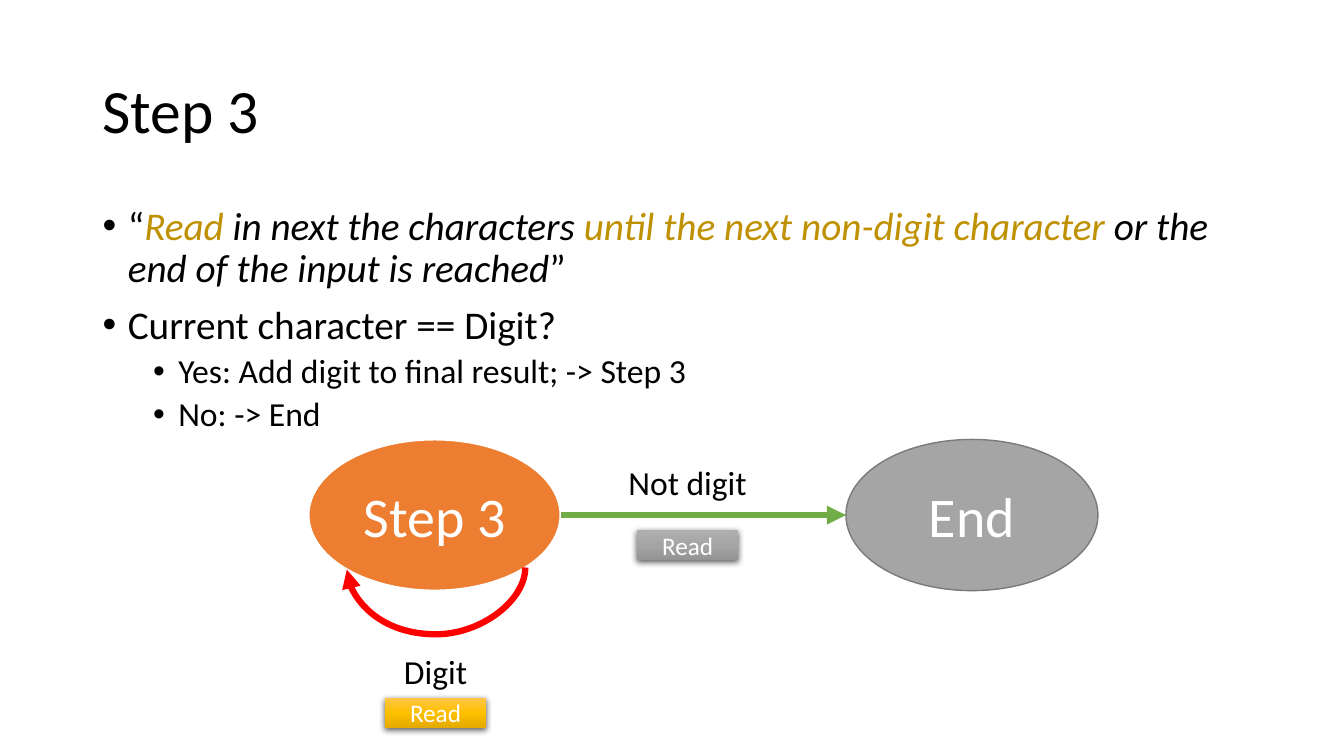
from copy import deepcopy

from lxml.etree import SubElement
from pptx import Presentation
from pptx.dml.color import RGBColor
from pptx.enum.shapes import MSO_CONNECTOR, MSO_SHAPE
from pptx.enum.text import MSO_ANCHOR, PP_ALIGN
from pptx.oxml.ns import qn
from pptx.util import Inches, Pt

# Content
BLACK, WHITE, GOLD = "000000", "FFFFFF", "BF9000"
TITLE = "Step 3"
# Each bullet: level, runs of (text, colour, italic)
BULLETS = [
    (0, [("“", BLACK, False),
         ("Read", GOLD, True),
         (" in next the characters ", BLACK, True),
         ("until the next non-digit character", GOLD, True),
         (" or the end of the input is reached", BLACK, True),
         ("”", BLACK, False)]),
    (0, [("Current character == Digit?", BLACK, False)]),
    (1, [("Yes: Add digit to final result; -> Step 3", BLACK, False)]),
    (1, [("No: -> End", BLACK, False)]),
]
# Level: size, indent, space before
LEVELS = {0: (28, 0.25, 10), 1: (24, 0.75, 5)}
# States: name, left, fill, line colour, line width
STATES = [("Step 3", 3.06, "ED7D31", WHITE, 1.5),
          ("End", 8.39, "A5A5A5", "7A7A7A", 1)]
# Transitions: label, centre, label top, button top, button gradient
TRANSITIONS = [
    ("Digit", 4.32, 6.41, 6.92, ("FFC64B", "FFC000", "E3AB00")),
    ("Not digit", 6.82, 4.53, 5.26, ("AFAFAF", "A5A5A5", "939393")),
]
STATE_TOP, STATE_W, STATE_H = 4.36, 2.5, 1.5
BUTTON_W, BUTTON_H = 1, 0.3
LOOP_START, LOOP_END, LOOP_DEPTH = (5.21, 5.63), (3.44, 5.65), 0.66

prs = Presentation()
prs.slide_width, prs.slide_height = Inches(13.33), Inches(7.5)
slide = prs.slides.add_slide(prs.slide_layouts[6])


def rgb(value):
    return RGBColor.from_string(value)


def add_run(paragraph, text, size=24, color=BLACK, italic=False):
    run = paragraph.add_run()
    run.text = text
    run.font.name, run.font.size = "Calibri", Pt(size)
    run.font.italic = italic
    run.font.color.rgb = rgb(color)


def write(frame, text, align=PP_ALIGN.CENTER, anchor=MSO_ANCHOR.MIDDLE,
          spacing=None, wrap=True, **font):
    frame.word_wrap, frame.vertical_anchor = wrap, anchor
    paragraph = frame.paragraphs[0]
    paragraph.alignment, paragraph.line_spacing = align, spacing
    add_run(paragraph, text, **font)


def text_frame(left, top, width, height):
    return slide.shapes.add_textbox(*map(Inches, (left, top, width, height))).text_frame


def add_shape(kind, left, top, width, height):
    shape = slide.shapes.add_shape(kind, *map(Inches, (left, top, width, height)))
    shape.shadow.inherit = False
    return shape


def add_arrow(kind, start, end, color):
    arrow = slide.shapes.add_connector(kind, *map(Inches, (*start, *end)))
    arrow.line.color.rgb, arrow.line.width = rgb(color), Pt(4.5)
    SubElement(arrow.line._get_or_add_ln(), qn("a:tailEnd"), type="triangle")
    SubElement(arrow._element.spPr, qn("a:effectLst"))
    return arrow


def add_button(text, left, top, colors):
    button = add_shape(MSO_SHAPE.RECTANGLE, left, top, BUTTON_W, BUTTON_H)
    button.line.fill.background()
    button.fill.gradient()
    button.fill.gradient_angle = 270
    properties = button._element.spPr
    stops = properties.find(".//" + qn("a:gsLst"))
    stops.append(deepcopy(stops[0]))
    for i, (stop, color) in enumerate(zip(button.fill.gradient_stops, colors)):
        stop.position, stop.color.rgb = i / 2, rgb(color)
    shadow = SubElement(properties.find(qn("a:effectLst")), qn("a:outerShdw"),
                        blurRad=str(Pt(4.5)), dist=str(Pt(1.5)), dir="5400000",
                        algn="ctr", rotWithShape="0")
    shade = SubElement(shadow, qn("a:srgbClr"), val=BLACK)
    SubElement(shade, qn("a:alpha"), val="63000")
    write(button.text_frame, text, size=18, color=WHITE)


# Title
write(text_frame(0.92, 0.4, 11.5, 1.45), TITLE, align=PP_ALIGN.LEFT,
      spacing=0.9, size=44)

# Bullets
body = text_frame(0.92, 2, 11.5, 4.76)
body.word_wrap = True
for i, (level, runs) in enumerate(BULLETS):
    size, indent, before = LEVELS[level]
    paragraph = body.add_paragraph() if i else body.paragraphs[0]
    paragraph.level, paragraph.line_spacing = level, 0.9
    paragraph.space_before = Pt(before if i else 0)
    properties = paragraph._p.get_or_add_pPr()
    properties.set("marL", str(Inches(indent)))
    properties.set("indent", str(Inches(-0.25)))
    SubElement(properties, qn("a:buFont"), typeface="Arial")
    SubElement(properties, qn("a:buChar"), char="•")
    for text, color, italic in runs:
        add_run(paragraph, text, size=size, color=color, italic=italic)

# States
for name, left, fill, line, width in STATES:
    state = add_shape(MSO_SHAPE.OVAL, left, STATE_TOP, STATE_W, STATE_H)
    state.fill.solid()
    state.fill.fore_color.rgb = rgb(fill)
    state.line.color.rgb, state.line.width = rgb(line), Pt(width)
    write(state.text_frame, name, size=40, color=WHITE)

# Arrow between the states
middle = STATE_TOP + STATE_H / 2
add_arrow(MSO_CONNECTOR.STRAIGHT, (STATES[0][1] + STATE_W, middle),
          (STATES[1][1], middle), "70AD47")

# Loop: a curved connector turned by 90 degrees, bulging below the state
(x1, y1), (x2, y2) = LOOP_START, LOOP_END
drop, span = y2 - y1, x1 - x2
left, top = (x1 + x2 - drop) / 2, (y1 + y2 - span) / 2
loop = add_arrow(MSO_CONNECTOR.CURVE, (left, top), (left + drop, top + span), "FF0000")
loop._element.spPr.find(qn("a:xfrm")).set("rot", "5400000")
geometry = loop._element.spPr.find(qn("a:prstGeom"))
adjustments = geometry.find(qn("a:avLst"))
if adjustments is None:
    adjustments = SubElement(geometry, qn("a:avLst"))
SubElement(adjustments, qn("a:gd"), name="adj1",
           fmla=f"val {round(LOOP_DEPTH / drop * 100000)}")

# Transition labels and buttons
for label, centre, label_top, button_top, colors in TRANSITIONS:
    write(text_frame(centre - 0.7, label_top, 1.4, 0.5), label,
          anchor=MSO_ANCHOR.TOP, wrap=False)
    add_button("Read", centre - BUTTON_W / 2, button_top, colors)

prs.save("out.pptx")
